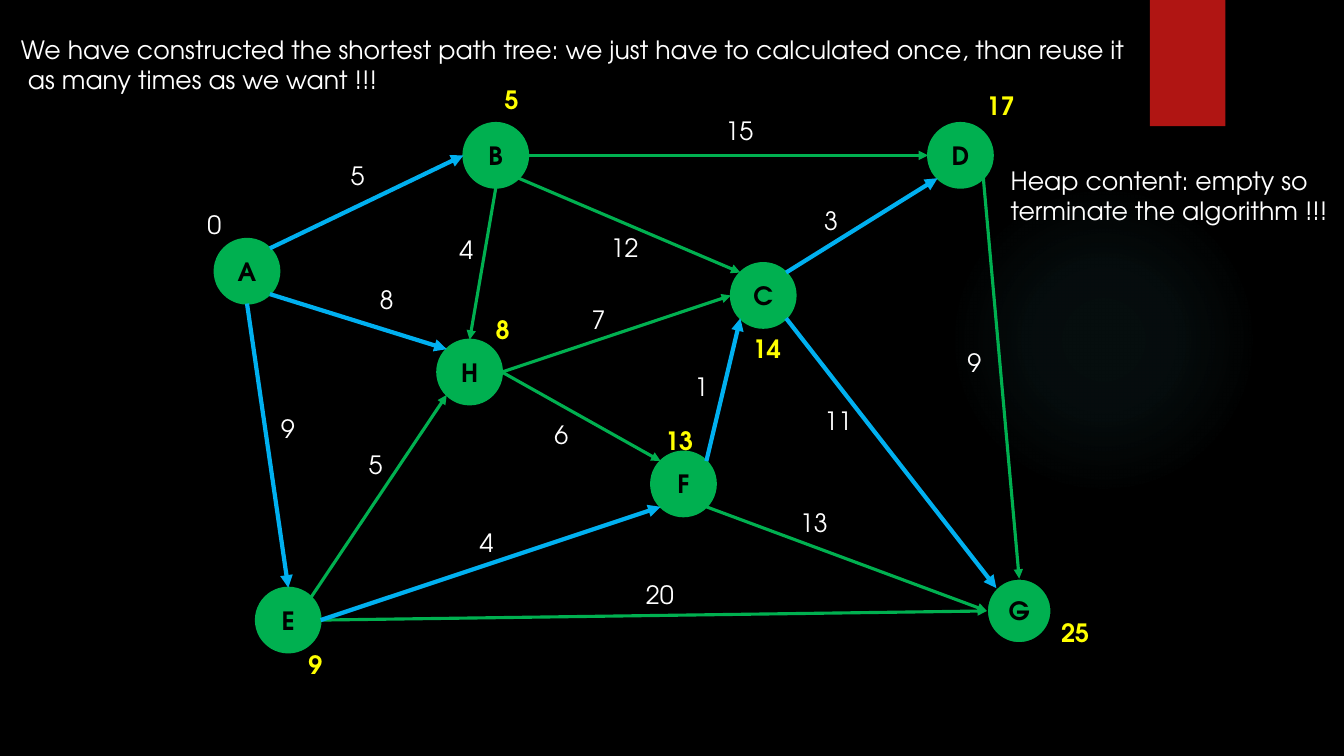
from math import cos, radians, sin
from typing import NamedTuple

from lxml import etree
from pptx import Presentation
from pptx.dml.color import RGBColor
from pptx.enum import shapes as kinds, text as txt
from pptx.oxml import parse_xml
from pptx.oxml.ns import nsdecls, qn
from pptx.util import Cm, Pt

BLACK = RGBColor(0, 0, 0)
WHITE = RGBColor(255, 255, 255)
GREEN = RGBColor(0, 0xB0, 0x50)
BLUE = RGBColor(0, 0xB0, 0xF0)
YELLOW = RGBColor(255, 255, 0)
RED = RGBColor(0xB0, 0x15, 0x13)
FONT = "TeX Gyre Adventor"
SIZE = 1.63
TOP, TOP_L, LEFT, LOW_L, LOW, LOW_R, RIGHT, TOP_R = range(8)


class Node(NamedTuple):
    name: str
    x: float
    y: float
    cost: str
    cost_x: float
    cost_y: float
    rim: RGBColor = GREEN
    final: bool = True


class Edge(NamedTuple):
    start: str
    out: int
    end: str
    site: int
    cost: str
    x: float
    y: float
    tree: bool = False


NODES = [
    Node("A", 5.41, 6.02, "0", 4.98, 5.16, final=False),
    Node("B", 11.68, 3.1, "5", 12.47, 2.01),
    Node("E", 6.45, 14.81, "9", 7.52, 16.23),
    Node("H", 11.02, 8.56, "8", 12.24, 7.8),
    Node("D", 23.39, 3.1, "17", 24.61, 2.16),
    Node("C", 18.42, 6.63, "14", 18.72, 8.28),
    Node("F", 16.41, 11.38, "13", 16.51, 10.59),
    Node("G", 24.87, 14.58, "25", 26.49, 15.42, rim=BLACK),
]
EDGES = [
    Edge("A", LOW, "E", TOP, "9", 6.83, 10.29, True),
    Edge("A", LOW_R, "H", TOP_L, "8", 9.32, 7.04, True),
    Edge("A", TOP_R, "B", LEFT, "5", 8.59, 3.91, True),
    Edge("B", RIGHT, "D", LEFT, "15", 18.03, 2.79),
    Edge("B", LOW_R, "C", TOP_L, "12", 15.14, 5.74),
    Edge("B", LOW, "H", TOP, "4", 11.33, 5.77),
    Edge("E", TOP_R, "H", LOW_L, "5", 9.04, 11.2),
    Edge("E", RIGHT, "G", LEFT, "20", 16.03, 14.48),
    Edge("E", RIGHT, "F", LOW_L, "4", 11.84, 13.16, True),
    Edge("H", RIGHT, "C", LEFT, "7", 14.66, 7.54),
    Edge("H", RIGHT, "F", TOP_L, "6", 13.72, 10.44),
    Edge("C", TOP_R, "D", LOW_L, "3", 20.52, 5.05, True),
    Edge("C", LOW_R, "G", TOP_L, "11", 20.52, 10.08, True),
    Edge("F", LOW_R, "G", LEFT, "13", 19.91, 12.65),
    Edge("F", TOP_R, "C", LOW_L, "1", 17.25, 9.22, True),
    Edge("D", LOW_R, "G", TOP, "9", 24.13, 8.64),
]

deck = Presentation()
deck.slide_width, deck.slide_height = Cm(33.87), Cm(19.05)
slide = deck.slides.add_slide(deck.slide_layouts[6])
slide.background.fill.solid()
slide.background.fill.fore_color.rgb = BLACK


def style(frame, color: RGBColor, bold: bool) -> None:
    for para in frame.paragraphs:
        font = para.font
        font.name, font.size, font.bold = FONT, Pt(18), bold
        font.color.rgb = color


def add_text(words: str, x: float, y: float, width: float, height: float = 1.02,
             color: RGBColor = WHITE, bold: bool = False) -> None:
    frame = slide.shapes.add_textbox(Cm(x), Cm(y), Cm(width), Cm(height)).text_frame
    frame.word_wrap = False
    frame.auto_size = txt.MSO_AUTO_SIZE.SHAPE_TO_FIT_TEXT
    frame.text = words
    style(frame, color, bold)


def add_cost(cost: str, x: float, y: float, final: bool = False) -> None:
    add_text(cost, x, y, 0.5 + 0.36 * len(cost), color=YELLOW if final else WHITE, bold=final)


def add_block(kind, x: float, y: float, width: float, height: float, color: RGBColor):
    block = slide.shapes.add_shape(kind, Cm(x), Cm(y), Cm(width), Cm(height))
    block.shadow.inherit = False
    block.fill.solid()
    block.fill.fore_color.rgb = color
    block.line.fill.background()
    return block


def add_glow() -> None:
    glow = add_block(kinds.MSO_SHAPE.OVAL, 23.9, 4.65, 7.82, 7.82, BLACK)
    stops = "".join(
        f'<a:gs pos="{pos}000"><a:srgbClr val="50B9C1"><a:alpha val="{alpha}000"/></a:srgbClr></a:gs>'
        for pos, alpha in ((0, 7), (36, 6), (69, 0)))
    grad = parse_xml(
        f'<a:gradFill {nsdecls("a")}><a:gsLst>{stops}</a:gsLst><a:path path="circle">'
        '<a:fillToRect l="50000" t="50000" r="50000" b="50000"/></a:path></a:gradFill>')
    props = glow._element.spPr
    props.replace(props.find(qn("a:solidFill")), grad)


def add_node(node: Node):
    disc = add_block(kinds.MSO_SHAPE.OVAL, node.x, node.y, SIZE, SIZE, GREEN)
    disc.line.color.rgb, disc.line.width = node.rim, Pt(1.5)
    frame = disc.text_frame
    frame.text = node.name
    frame.vertical_anchor = txt.MSO_ANCHOR.MIDDLE
    frame.paragraphs[0].alignment = txt.PP_ALIGN.CENTER
    style(frame, BLACK, True)
    return disc


def find_site(disc, site: int) -> tuple[int, int]:
    angle, half = radians(90 + 45 * site), disc.width / 2
    return (round(disc.left + half * (1 + cos(angle))),
            round(disc.top + half * (1 - sin(angle))))


def add_edge(edge: Edge, discs: dict) -> None:
    start, end = discs[edge.start], discs[edge.end]
    link = slide.shapes.add_connector(
        kinds.MSO_CONNECTOR.STRAIGHT, *find_site(start, edge.out), *find_site(end, edge.site))
    link.line.color.rgb = BLUE if edge.tree else GREEN
    link.line.width = Pt(3 if edge.tree else 2.25)
    props = link._element.spPr
    etree.SubElement(props.find(qn("a:ln")), qn("a:tailEnd"), type="triangle")
    etree.SubElement(props, qn("a:effectLst"))
    glue = link._element.nvCxnSpPr.cNvCxnSpPr
    for tag, disc, site in (("a:stCxn", start, edge.out), ("a:endCxn", end, edge.site)):
        etree.SubElement(glue, qn(tag), id=str(disc.shape_id), idx=str(site))


add_glow()
add_block(kinds.MSO_SHAPE.RECTANGLE, 28.98, 0, 1.9, 3.18, RED)
discs = {node.name: add_node(node) for node in NODES}
for edge in EDGES:
    add_edge(edge, discs)
for node in NODES:
    add_cost(node.cost, node.cost_x, node.cost_y, node.final)
for edge in EDGES:
    add_cost(edge.cost, edge.x, edge.y)
add_text("Heap content: empty so\nterminate the algorithm !!!", 25.22, 4.04, 8.61, 1.8)
add_text("We have constructed the shortest path tree: we just have to calculated once, than reuse it\n"
         " as many times as we want !!!", 0.28, 0.74, 28.78, 1.8)
deck.save("out.pptx")
